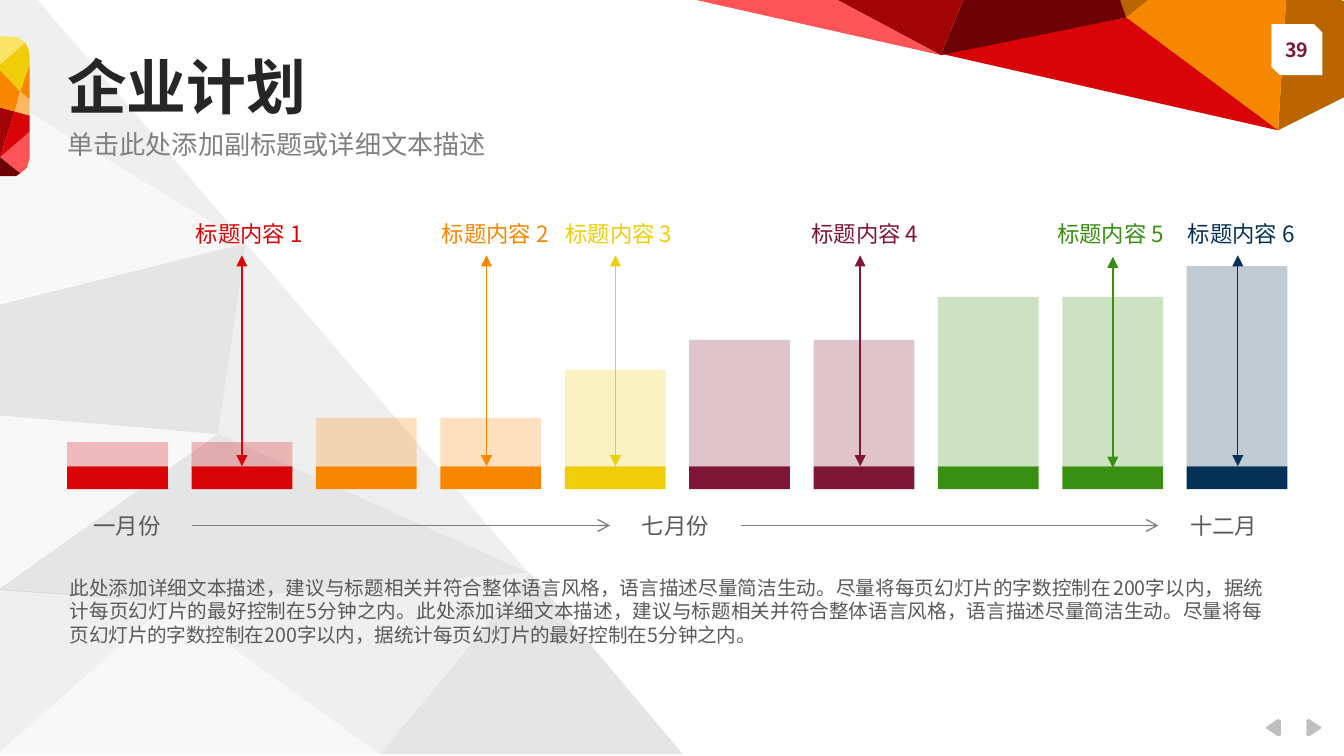
from lxml import etree
from pptx import Presentation
from pptx import util as u
from pptx.dml.color import RGBColor
from pptx.enum import shapes, text
from pptx.oxml.ns import qn

FONT = "Noto Sans CJK SC"
RED, ORANGE, YELLOW = "D80407", "F88700", "EFCD09"
PLUM, GREEN, NAVY = "801637", "388F12", "063157"
MAROON, CRIMSON, CORAL, BROWN = "6C0204", "A20305", "FC5457", "BA6500"
PALE, LIGHT, SILVER, GREY, DARK = "F2F2F2", "D9D9D9", "BFBFBF", "808080", "595959"
LEFT, CENTER, JUSTIFY = text.PP_ALIGN.LEFT, text.PP_ALIGN.CENTER, text.PP_ALIGN.JUSTIFY


def paint(fill, color, alpha=100):
    """Make a shape, line or font fill solid; alpha is opacity in percent."""
    fill.solid()
    fill.fore_color.rgb = RGBColor.from_string(color)
    if alpha < 100:
        clr = fill._xPr.find(qn("a:solidFill"))[0]
        etree.SubElement(clr, qn("a:alpha"), val=str(alpha * 1000))


def add_text(box, words, size, color, align=CENTER, bold=False, inset=True, spacing=None):
    tb = s.shapes.add_textbox(*[u.Inches(v) for v in box])
    tf = tb.text_frame
    tf.word_wrap = True
    tf.vertical_anchor = text.MSO_ANCHOR.MIDDLE
    if not inset:
        tf.margin_left = tf.margin_right = tf.margin_top = tf.margin_bottom = 0
    p = tf.paragraphs[0]
    p.alignment = align
    if spacing:
        p.line_spacing = spacing
    r = p.add_run()
    r.text = words
    r.font.size = u.Pt(size)
    r.font.bold = bold
    r.font.name = FONT
    paint(r.font.fill, color)
    latin = r.font._element.find(qn("a:latin"))
    latin.addnext(latin.makeelement(qn("a:ea"), {"typeface": FONT}))


prs = Presentation()
prs.slide_width = u.Inches(10)
prs.slide_height = u.Inches(10) * 9 // 16
s = prs.slides.add_slide(prs.slide_layouts[6])

# Facets as colour, opacity and corners in hundredths of an inch
backdrop = [
    (PALE, 50, [(126, 448), (283, 561), (-2, 561)]),
    (LIGHT, 40, [(126, 448), (-2, 561), (-2, 438)]),
    (LIGHT, 40, [(283, 561), (126, 448), (393, 426)]),
    (SILVER, 40, [(393, 426), (126, 448), (-2, 439), (162, 323)]),
    (LIGHT, 40, [(393, 426), (162, 323), (183, 181)]),
    (PALE, 50, [(162, 323), (-2, 438), (-2, 309)]),
    (SILVER, 40, [(162, 323), (-2, 309), (-2, 227), (183, 181)]),
    (PALE, 50, [(183, 181), (-2, 226), (-2, 69)]),
    (LIGHT, 40, [(183, 181), (-2, 69), (-2, -35)]),
    (SILVER, 40, [(283, 561), (394, 426), (508, 561)]),
]
nav_arrows = [
    (SILVER, 100, [(972, 536), (974, 535), (983, 541), (983, 542), (974, 548), (972, 547)]),
    (SILVER, 100, [(953, 536), (951, 535), (942, 541), (942, 542), (951, 548), (953, 547)]),
]
corner = [
    (BROWN, 100, [(1077, 34), (958, -17), (951, 97)]),
    (ORANGE, 100, [(951, 97), (958, -17), (942, -70), (838, 13)]),
    (RED, 100, [(951, 97), (838, 13), (700, 40)]),
    (BROWN, 100, [(838, 13), (942, -70), (815, -53)]),
    (MAROON, 100, [(838, 13), (815, -53), (734, -43), (700, 41)]),
    (CRIMSON, 100, [(700, 41), (734, -43), (580, -23)]),
    (CORAL, 100, [(700, 41), (580, -23), (478, -9)]),
]
side_tab = [
    (CORAL, 100, [(22, 98), (0, 117), (15, 129), (20, 125), (22, 118)]),
    (CRIMSON, 100, [(11, 83), (0, 80), (0, 117)]),
    (RED, 100, [(11, 83), (0, 117), (22, 98), (22, 86)]),
    (MAROON, 100, [(15, 129), (0, 117), (0, 131), (8, 131), (12, 131)]),
    ("F9E468", 100, [(0, 48), (19, 32), (14, 28), (8, 27), (0, 27)]),
    (ORANGE, 100, [(22, 48), (15, 68), (22, 74)]),
    (ORANGE, 100, [(11, 83), (15, 68), (0, 52), (0, 80)]),
    (YELLOW, 100, [(0, 52), (15, 68), (22, 48), (22, 40), (21, 36), (19, 32), (0, 48)]),
    ("FFB762", 100, [(22, 74), (15, 68), (11, 83), (22, 86)]),
]
for color, alpha, points in backdrop + nav_arrows + corner + side_tab:
    fb = s.shapes.build_freeform(*points[0], scale=u.Inches(0.01))
    fb.add_line_segments(points[1:], close=True)
    sp = fb.convert_to_shape()
    sp.shadow.inherit = False
    sp.line.fill.background()
    paint(sp.fill, color, alpha)

# Page number badge, then the bars: a solid foot under a pale column
blocks = [(shapes.MSO_SHAPE.SNIP_2_DIAG_RECTANGLE, 9.46, 0.18, 0.38, 0.38, "FFFFFF", 100)]
base = 3.47
bars = [(RED, 0.18), (RED, 0.18), (ORANGE, 0.36), (ORANGE, 0.36), (YELLOW, 0.72),
        (PLUM, 0.94), (PLUM, 0.94), (GREEN, 1.26), (GREEN, 1.26), (NAVY, 1.49)]
bar_step = (8.83 - 0.5) / (len(bars) - 1)
for i, (color, height) in enumerate(bars):
    x = 0.5 + i * bar_step
    blocks.append((shapes.MSO_SHAPE.RECTANGLE, x, base, 0.75, 0.17, color, 100))
    blocks.append((shapes.MSO_SHAPE.RECTANGLE, x, base - height, 0.75, height, color, 25))
for kind, x, y, w, h, color, alpha in blocks:
    sp = s.shapes.add_shape(kind, *[u.Inches(v) for v in (x, y, w, h)])
    sp.shadow.inherit = False
    sp.line.fill.background()
    paint(sp.fill, color, alpha)

add_text((9.46, 0.23, 0.38, 0.28), "39", 10.5, PLUM, bold=True, inset=False)
add_text((0.5, 0.45, 5.25, 0.44), "企业计划", 32, "262626", LEFT, True, False, 0.9)
add_text((0.5, 0.99, 3.2, 0.19), "单击此处添加副标题或详细文本描述", 14, GREY, LEFT,
         inset=False, spacing=0.9)

# Lines as x1, y1, x2, y2, colour, head, tail
lines = []
for i, month in enumerate(["一月份", "七月份", "十二月"]):
    x = 0.46 + i * 4.08
    add_text((x, 3.76, 0.97, 0.3), month, 12, DARK)
    if i < 2:
        lines.append((x + 0.97, 3.91, x + 4.08, 3.91, GREY, None, "arrow"))

labels = [(1.3, 1.8, 1.9, RED), (3.13, 3.62, 1.9, ORANGE), (4.05, 4.58, 1.9, YELLOW),
          (5.88, 6.4, 1.9, PLUM), (7.71, 8.28, 1.91, GREEN), (8.68, 9.21, 1.9, NAVY)]
for n, (left, x, top, color) in enumerate(labels, 1):
    add_text((left, 1.59, 1.11, 0.3), f"标题内容 {n}", 12, color)
    lines.append((x, top + 1.57, x, top, color, "triangle", "triangle"))

for *ends, color, head, tail in lines:
    ln = s.shapes.add_connector(shapes.MSO_CONNECTOR.STRAIGHT, *[u.Inches(v) for v in ends])
    ln.line.width = u.Pt(0.75)
    paint(ln.line.fill, color)
    for tag, style in (("a:headEnd", head), ("a:tailEnd", tail)):
        if style:
            etree.SubElement(ln.line._ln, qn(tag), type=style)
    etree.SubElement(ln._element.spPr, qn("a:effectLst"))

description = (
    "此处添加详细文本描述，建议与标题相关并符合整体语言风格，语言描述尽量简洁生动。"
    "尽量将每页幻灯片的字数控制在200字以内，据统计每页幻灯片的最好控制在5分钟之内。"
)
add_text((0.42, 4.23, 9.08, 0.63), description * 2, 10.5, DARK, JUSTIFY, spacing=u.Pt(12.6))

prs.save("out.pptx")
